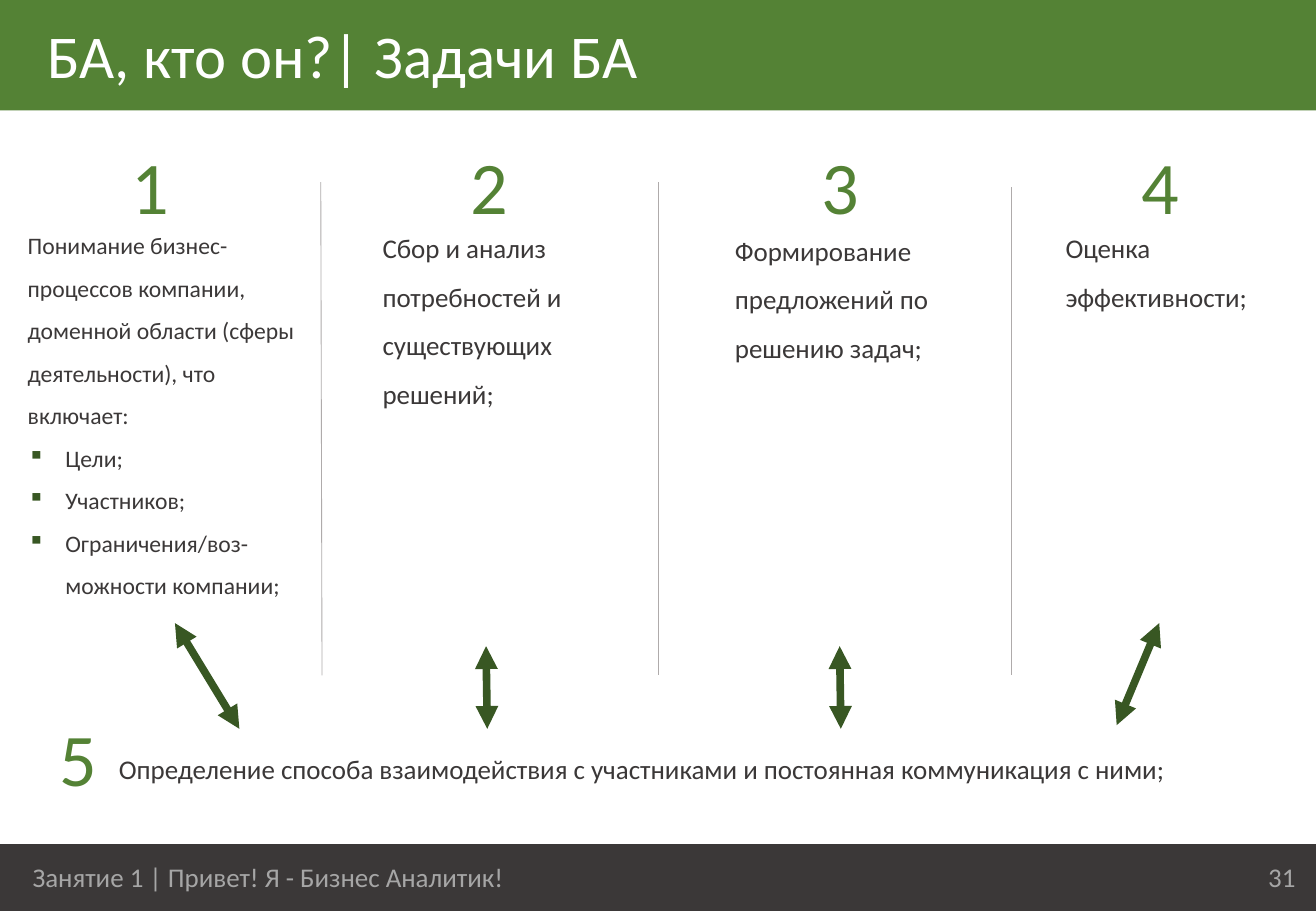
from lxml.etree import SubElement
from pptx import Presentation
from pptx.dml.color import RGBColor
from pptx.enum.shapes import MSO_CONNECTOR as Connector, MSO_SHAPE as Shape
from pptx.enum.text import MSO_ANCHOR as Anchor, MSO_AUTO_SIZE as AutoSize, PP_ALIGN as Align
from pptx.oxml.ns import qn
from pptx.util import Inches, Pt

# Content
COLORS = {"green": "548235", "dark_green": "385723", "dark": "3B3838",
          "gray": "A6A6A6", "divider": "AFABAB", "white": "FFFFFF"}
FONT = "Calibri"
WIDTH, HEIGHT = 10.83, 7.5
TITLE = "БА, кто он?| Задачи БА"
FOOTER = "Занятие 1 | Привет! Я - Бизнес Аналитик!"
PAGE_NUMBER = "31"

# Number, its left and top
NUMBERS = [("1", 0.88, 1.1), ("2", 3.67, 1.1), ("3", 6.56, 1.1),
           ("4", 9.19, 1.1), ("5", 0.29, 5.81)]

# Text, bullets, text size, box (left, top, width, height)
TASKS = [
    ("Понимание бизнес- процессов компании, доменной области (сферы деятельности), что включает:",
     ["Цели;", "Участников;", "Ограничения/воз-можности компании;"], 14, (0.13, 1.74, 2.5, 3.24)),
    ("Сбор и анализ потребностей и существующих решений;", [], 16, (3.05, 1.74, 2.1, 1.67)),
    ("Формирование предложений по решению задач;", [], 16, (5.95, 1.74, 2.14, 1.31)),
    ("Оценка эффективности;", [], 16, (8.67, 1.74, 1.88, 0.87)),
    ("Определение способа взаимодействия с участниками и постоянная коммуникация с ними;",
     [], 16, (0.88, 6.03, 9.63, 0.46)),
]

# Start x, start y, end x, end y
DIVIDERS = [(2.64, 1.5, 2.65, 5.56), (5.42, 1.5, 5.42, 5.56), (8.32, 1.54, 8.32, 5.56)]
ARROWS = [(1.44, 5.13, 1.97, 6), (4, 5.32, 4.01, 6),
          (6.91, 5.32, 6.92, 6), (9.54, 5.13, 9.19, 5.97)]


def color(name):
    return RGBColor.from_string(COLORS[name])


def add_band(top, height, fill):
    band = slide.shapes.add_shape(Shape.RECTANGLE, 0, Inches(top), Inches(WIDTH), Inches(height))
    band.shadow.inherit = False
    band.fill.solid()
    band.fill.fore_color.rgb = color(fill)
    band.line.fill.background()


def add_bullet(paragraph):
    properties = paragraph._p.get_or_add_pPr()
    properties.set("marL", str(Inches(0.31)))
    properties.set("indent", str(Inches(-0.31)))
    bullet_color = SubElement(properties, qn("a:buClr"))
    SubElement(bullet_color, qn("a:srgbClr"), val=COLORS["dark_green"])
    SubElement(properties, qn("a:buChar"), char="▪")


def add_text(text, box, size, ink, bullets=(), align=Align.LEFT, spacing=None,
             anchor=Anchor.MIDDLE, grow=True):
    frame = slide.shapes.add_textbox(*map(Inches, box)).text_frame
    frame.word_wrap = True
    frame.vertical_anchor = anchor
    frame.auto_size = AutoSize.SHAPE_TO_FIT_TEXT if grow else AutoSize.NONE
    for index, line in enumerate([text, *bullets]):
        paragraph = frame.add_paragraph() if index else frame.paragraphs[0]
        paragraph.text = line
        paragraph.alignment = align
        if spacing:
            paragraph.line_spacing = spacing
        if index:
            add_bullet(paragraph)
        paragraph.font.name = FONT
        paragraph.font.size = Pt(size)
        paragraph.font.color.rgb = color(ink)


def add_line(ends, ink, width, arrowheads=False):
    line = slide.shapes.add_connector(Connector.STRAIGHT, *map(Inches, ends))
    line.line.color.rgb = color(ink)
    line.line.width = Pt(width)
    if arrowheads:
        for end in ("a:headEnd", "a:tailEnd"):
            SubElement(line.line._get_or_add_ln(), qn(end), type="triangle")
    SubElement(line._element.spPr, qn("a:effectLst"))


presentation = Presentation()
presentation.slide_width = Inches(WIDTH)
presentation.slide_height = Inches(HEIGHT)
slide = presentation.slides.add_slide(presentation.slide_layouts[6])

# Footer and title bands
add_band(6.95, 0.55, "dark")
add_text(FOOTER, (0.17, 7.06, 5.3, 0.32), 16, "gray", grow=False)
add_text(PAGE_NUMBER, (8.32, 7.02, 2.44, 0.4), 16, "gray", align=Align.RIGHT, grow=False)
add_band(0, 0.91, "green")
add_text(TITLE, (0.29, 0.1, 10.26, 0.71), 36, "white", anchor=Anchor.TOP)

# Numbered tasks
for number, left, top in NUMBERS:
    add_text(number, (left, top, 0.71, 0.84), 44, "green", align=Align.CENTER)
for text, bullets, size, box in TASKS:
    add_text(text, box, size, "dark", bullets, spacing=1.5)

# Column dividers and arrows to the fifth task
for ends in DIVIDERS:
    add_line(ends, "divider", 0.5)
for ends in ARROWS:
    add_line(ends, "dark_green", 4.5, arrowheads=True)

presentation.save("out.pptx")
